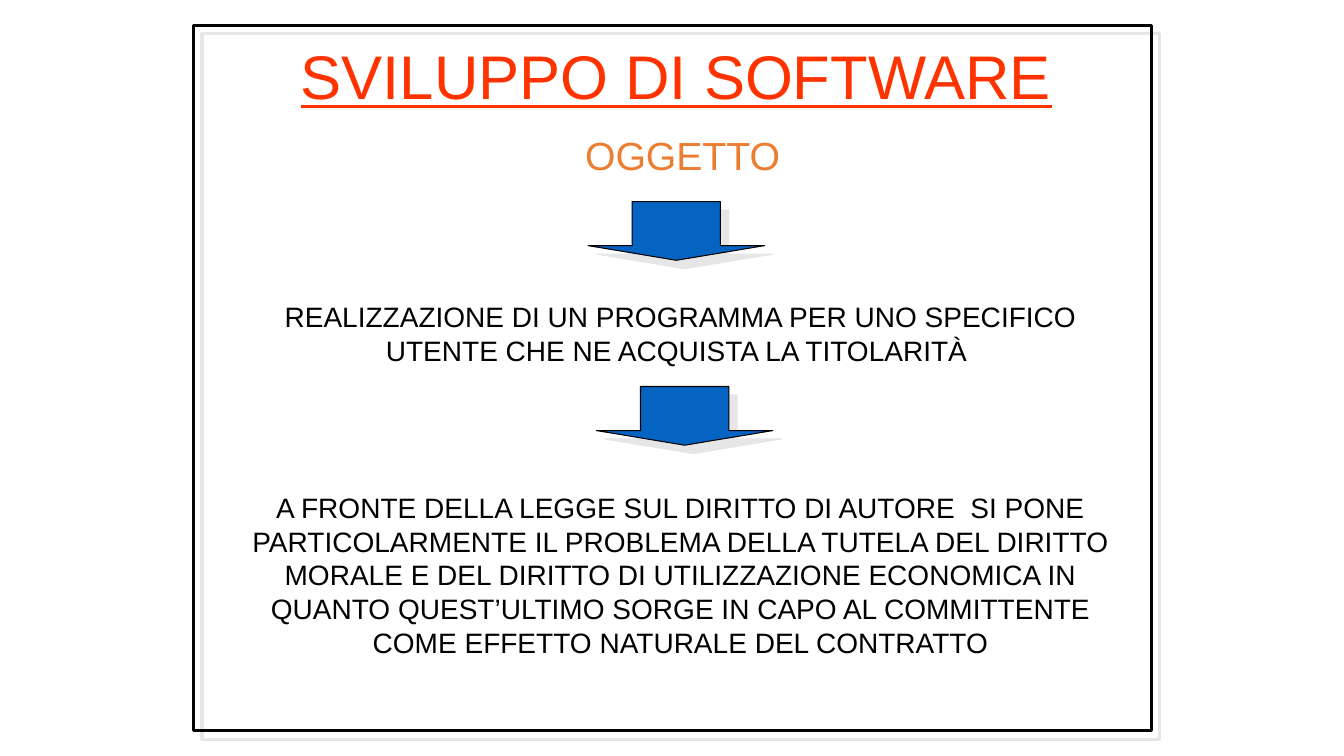
import pptx
import pptx.dml.color
import pptx.enum.shapes
import pptx.enum.text
import pptx.oxml
import pptx.util
from pptx.util import Cm

RED = pptx.dml.color.RGBColor(0xFF, 0x33, 0x00)
ORANGE = pptx.dml.color.RGBColor(0xED, 0x7D, 0x31)
BLUE = pptx.dml.color.RGBColor(0x05, 0x63, 0xC1)
BLACK = pptx.dml.color.RGBColor(0x00, 0x00, 0x00)
PALE_GREY = pptx.dml.color.RGBColor(0xE7, 0xE6, 0xE6)

ALIGN = pptx.enum.text.PP_ALIGN
SHAPE = pptx.enum.shapes.MSO_SHAPE

PURPOSE = "REALIZZAZIONE DI UN PROGRAMMA PER UNO SPECIFICO UTENTE CHE NE ACQUISTA LA TITOLARITÀ "
CONSEQUENCE = (
    "A FRONTE DELLA LEGGE SUL DIRITTO DI AUTORE  SI PONE PARTICOLARMENTE "
    "IL PROBLEMA DELLA TUTELA DEL DIRITTO MORALE E DEL DIRITTO DI "
    "UTILIZZAZIONE ECONOMICA IN QUANTO QUEST’ULTIMO SORGE IN CAPO AL "
    "COMMITTENTE COME EFFETTO NATURALE DEL CONTRATTO"
)


def cast_shadow(shape):
    shape.shadow.inherit = False
    effects = shape._element.spPr.find(pptx.oxml.ns.qn("a:effectLst"))
    effects.append(pptx.oxml.parse_xml(
        f'<a:outerShdw {pptx.oxml.ns.nsdecls("a")} dist="107950" dir="2700000" '
        f'algn="ctr" rotWithShape="0"><a:srgbClr val="{PALE_GREY}"/></a:outerShdw>'
    ))


def write(box, text, size, color, align=ALIGN.CENTER, wrap=True, underline=None):
    frame = box.text_frame
    frame.word_wrap = wrap
    frame.auto_size = pptx.enum.text.MSO_AUTO_SIZE.NONE
    frame.vertical_anchor = pptx.enum.text.MSO_ANCHOR.TOP
    para = frame.paragraphs[0]
    para.alignment = align
    span = para.add_run()
    span.text = text
    span.font.name = "Arial"
    span.font.size = pptx.util.Pt(size)
    span.font.color.rgb = color
    span.font.underline = underline


def add_frame(page, left, top, width, height):
    frame = page.shapes.add_shape(SHAPE.RECTANGLE, left, top, width, height)
    frame.fill.background()
    frame.line.color.rgb = BLACK
    frame.line.width = pptx.util.Pt(2.25)
    cast_shadow(frame)


def add_heading(page, left, top, width, height):
    title = page.shapes.title
    title.left, title.top, title.width, title.height = left, top, width, height
    write(title, "SVILUPPO DI SOFTWARE", 44, RED, underline=True)
    subject = page.shapes.add_textbox(
        left + Cm(9.35), top + Cm(2.34), Cm(5.48), Cm(1.45))
    write(subject, "OGGETTO", 28, ORANGE, ALIGN.RIGHT, wrap=False)


def add_statement(page, text, left, top, width, height):
    box = page.shapes.add_textbox(left, top, width, height)
    write(box, text, 20, BLACK)


def add_down_arrow(page, left, top, width, height):
    arrow = page.shapes.add_shape(SHAPE.DOWN_ARROW, left, top, width, height)
    arrow.adjustments[0] = 0.5
    arrow.adjustments[1] = 0.25
    arrow.fill.solid()
    arrow.fill.fore_color.rgb = BLUE
    arrow.line.color.rgb = BLACK
    arrow.line.width = pptx.util.Pt(0.75)
    cast_shadow(arrow)


def build_contract_slide(deck):
    page = deck.slides.add_slide(deck.slide_layouts[5])
    add_frame(page, Cm(4.88), Cm(0.64), Cm(24.13), Cm(17.78))
    add_heading(page, Cm(5.08), Cm(0.84), Cm(23.93), Cm(2.11))
    add_statement(page, PURPOSE, Cm(5.72), Cm(7.42), Cm(22.86), Cm(1.96))
    add_statement(page, CONSEQUENCE, Cm(5.72), Cm(12.24), Cm(22.86), Cm(4.5))
    for left, top in ((Cm(15.03), Cm(9.74)), (Cm(14.82), Cm(5.08))):
        add_down_arrow(page, left, top, Cm(4.45), Cm(1.48))


def main():
    deck = pptx.Presentation()
    deck.slide_width = Cm(33.87)
    deck.slide_height = Cm(19.05)
    build_contract_slide(deck)
    deck.save("out.pptx")


if __name__ == "__main__":
    main()
